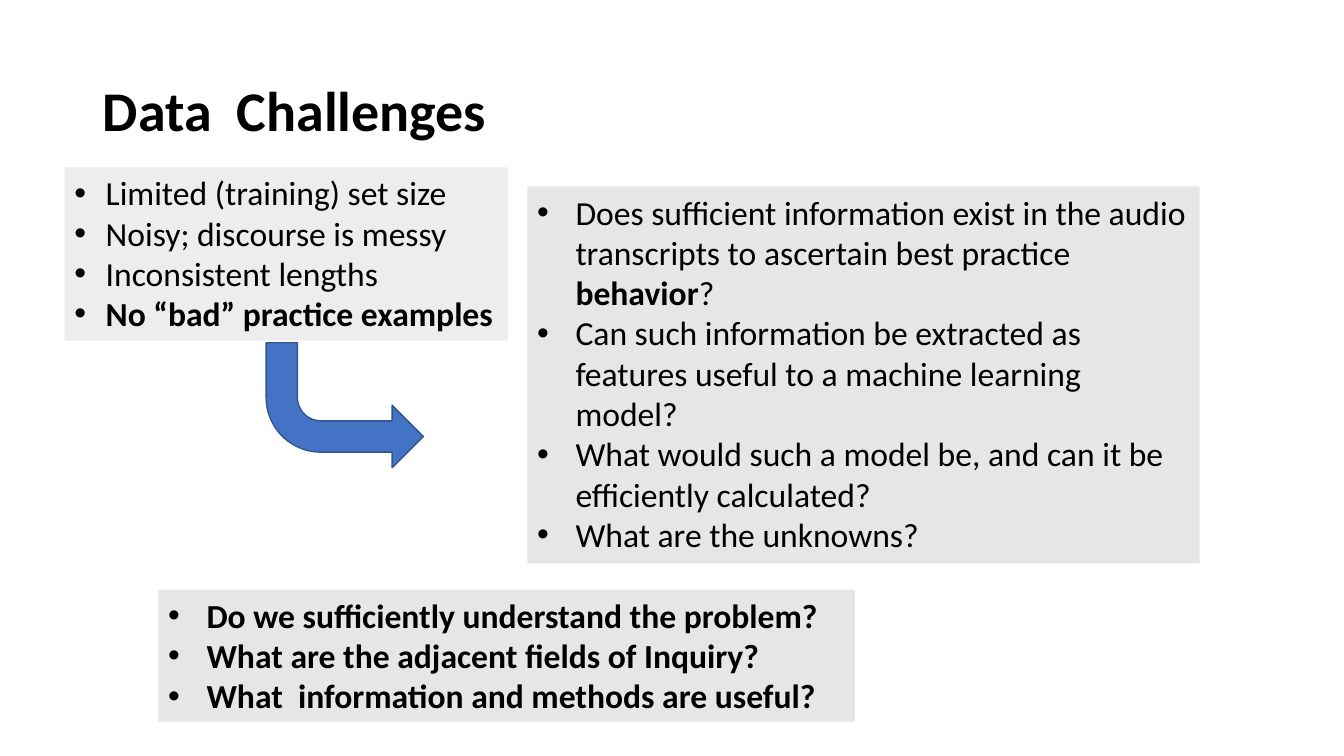
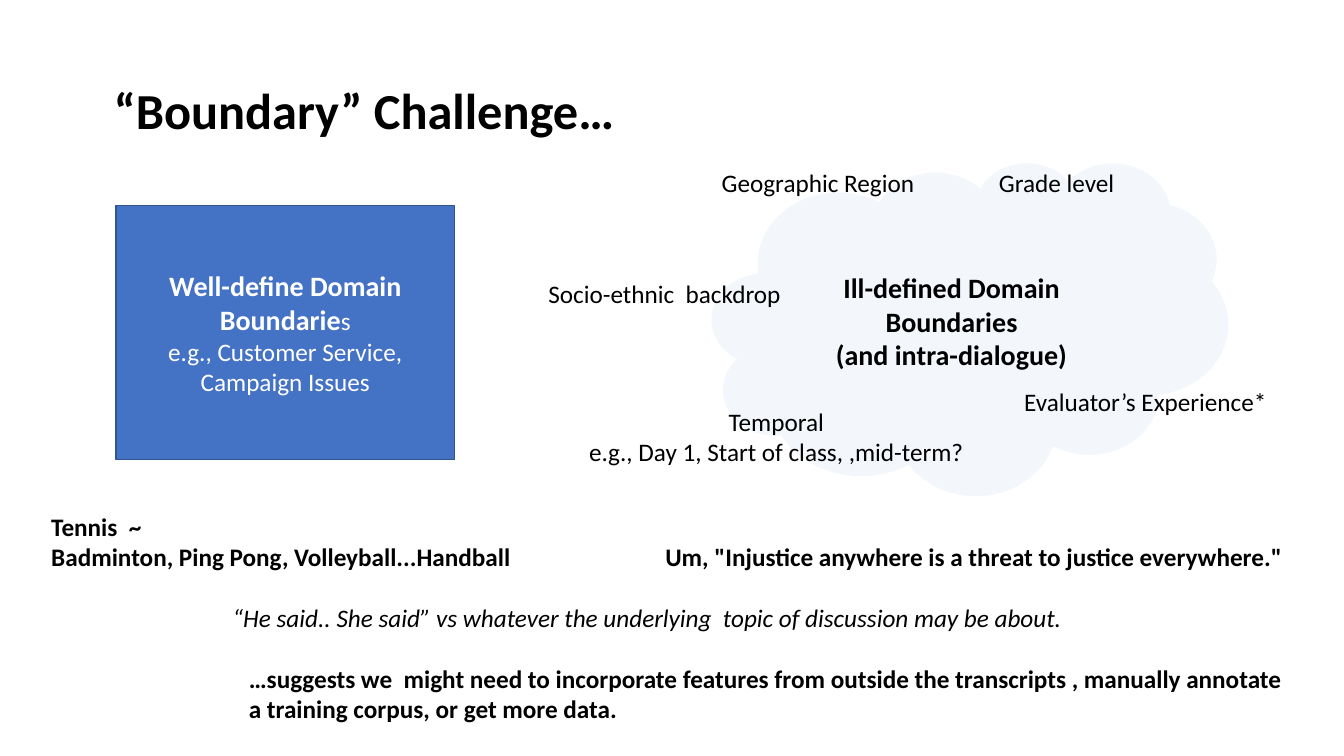
"""Build two slides on data and boundary challenges."""
from lxml.etree import SubElement
from pptx import Presentation
from pptx.dml.color import RGBColor
from pptx.enum.shapes import MSO_SHAPE as SHAPE
from pptx.enum.text import MSO_ANCHOR as ANCHOR, MSO_AUTO_SIZE as FIT, PP_ALIGN as ALIGN
from pptx.oxml.ns import qn
from pptx.util import Inches, Pt

FONT = "Calibri"
BLACK, WHITE = "000000", "FFFFFF"
BLUE, DARK_BLUE, PALE_BLUE = "4472C4", "325491", "DAE3F3"
LIGHT_GRAY, GRAY = "EDEDED", "E7E6E6"
PANEL_SIZE, DOMAIN_SIZE, NOTE_SIZE = 24, 20, 18
TITLE_AREA = (0.92, 0.4, 11.5, 1.45)
BOLD, ITALIC, PLAIN = {"bold": True}, {"italic": True}, {}

DATA_PANELS = [
    {"area": (0.64, 1.66, 4.4, 1.72), "fill": LIGHT_GRAY, "indent": 0.31, "wrap": False,
     "lines": ["Limited (training) set size", "Noisy; discourse is messy",
               "Inconsistent lengths", [("No “bad” practice examples", BOLD)]]},
    {"area": (5.23, 1.85, 6.67, 3.74), "fill": GRAY, "indent": 0.38, "wrap": True,
     "lines": [[("Does sufficient information exist in the audio transcripts "
                 "to ascertain best practice ", PLAIN), ("behavior", BOLD), ("?", PLAIN)],
               "Can such information be extracted as features useful to a "
               "machine learning model?",
               "What would such a model be, and can it be efficiently calculated?",
               "What are the unknowns?"]},
    {"area": (1.57, 5.85, 6.91, 1.31), "fill": GRAY, "indent": 0.38, "wrap": False,
     "lines": [[(question, BOLD)] for question in (
         "Do we sufficiently understand the problem?",
         "What are the adjacent fields of Inquiry?",
         "What  information and methods are useful?")]},
]
ARROW_AREA = (2.64, 3.4, 1.56, 1.24)

WELL_DEFINED_AREA = (1.15, 2.04, 3.36, 2.52)
WELL_DEFINED = [
    [("Well-define Domain Boundarie", {"bold": True, "size": DOMAIN_SIZE}), ("s", PLAIN)],
    "e.g., Customer Service,", "Campaign Issues"]
CLOUD_AREA = (7.06, 1.61, 5.12, 3.3)
ILL_DEFINED = [[("Ill-defined Domain Boundaries", BOLD)], [("(and intra-dialogue)", BOLD)]]
CLOUD_OPACITY = 31

BOUNDARY_NOTES = [
    ((2.37, 6.53, 10.53, 0.71), BOLD, ALIGN.LEFT,
     ["…suggests we  might need to incorporate features from outside the "
      "transcripts , manually annotate", "a training corpus, or get more data."]),
    ((0.41, 5.02, 4.79, 0.71), BOLD, ALIGN.LEFT,
     ["Tennis  ~", "Badminton, Ping Pong, Volleyball...Handball"]),
    ((6.5, 5.32, 6.37, 0.4), BOLD, ALIGN.LEFT,
     ['Um, "Injustice anywhere is a threat to justice everywhere."']),
    ((7.06, 1.61, 2.13, 0.4), PLAIN, ALIGN.LEFT, ["Geographic Region"]),
    ((5.34, 2.71, 2.53, 0.4), PLAIN, ALIGN.LEFT, ["Socio-ethnic  backdrop"]),
    ((9.81, 1.61, 1.36, 0.4), PLAIN, ALIGN.LEFT, ["Grade level"]),
    ((5.72, 3.98, 3.96, 0.71), PLAIN, ALIGN.CENTER,
     ["Temporal", "e.g., Day 1, Start of class, ,mid-term?"]),
    ((10.06, 3.78, 2.63, 0.4), PLAIN, ALIGN.LEFT, ["Evaluator’s Experience*"]),
    ((2.21, 5.93, 8.58, 0.4), ITALIC, ALIGN.LEFT,
     ["“He said.. She said” vs whatever the underlying  topic of discussion may be about."]),
]


def color(hex_code):
    """Turn a hex string into a colour."""
    return RGBColor.from_string(hex_code)


def box(area):
    """Turn left, top, width and height into lengths."""
    return [Inches(length) for length in area]


def paint(shape, fill, line=None):
    """Give a shape a solid fill and an optional outline."""
    shape.fill.solid()
    shape.fill.fore_color.rgb = color(fill)
    if line:
        shape.line.color.rgb = color(line)
        shape.line.width = Pt(1)
    else:
        shape.line.fill.background()


def add_bullet(paragraph, indent):
    """Put a hanging bullet on a paragraph."""
    properties = paragraph._p.get_or_add_pPr()
    properties.set("marL", str(Inches(indent)))
    properties.set("indent", str(-Inches(indent)))
    SubElement(properties, qn("a:buFont")).set("typeface", "Arial")
    SubElement(properties, qn("a:buChar")).set("char", "•")


def write(frame, lines, size, ink=BLACK, align=ALIGN.LEFT, indent=None):
    """Write lines, each a string or a list of styled parts, into a frame."""
    for number, line in enumerate(lines):
        paragraph = frame.add_paragraph() if number else frame.paragraphs[0]
        paragraph.alignment = align
        if indent:
            add_bullet(paragraph, indent)
        for text, style in [(line, PLAIN)] if isinstance(line, str) else line:
            run = paragraph.add_run()
            run.text = text
            run.font.name = FONT
            run.font.size = Pt(style.get("size", size))
            run.font.bold = style.get("bold", False)
            run.font.italic = style.get("italic", False)
            run.font.color.rgb = color(ink)


def add_title_slide(deck, title, size, inset):
    """Add a slide with the shared title style."""
    slide = deck.slides.add_slide(deck.slide_layouts[5])
    heading = slide.shapes.title
    heading.left, heading.top, heading.width, heading.height = box(TITLE_AREA)
    frame = heading.text_frame
    frame.vertical_anchor = ANCHOR.MIDDLE
    frame.margin_left = Inches(inset)
    write(frame, [[(title, BOLD)]], size)
    frame.paragraphs[0].line_spacing = 0.9
    return slide


def add_text(slide, area, lines, size, wrap=False, **style):
    """Add a text box that grows with its text."""
    text_box = slide.shapes.add_textbox(*box(area))
    text_box.text_frame.word_wrap = wrap
    text_box.text_frame.auto_size = FIT.SHAPE_TO_FIT_TEXT
    write(text_box.text_frame, lines, size, **style)
    return text_box


def add_figure(slide, preset, area, fill, line=None):
    """Add a painted preset shape without a shadow."""
    figure = slide.shapes.add_shape(preset, *box(area))
    figure.shadow.inherit = False
    paint(figure, fill, line)
    figure.text_frame.word_wrap = True
    figure.text_frame.vertical_anchor = ANCHOR.MIDDLE
    return figure


def build_data_slide(deck):
    """Build the slide on data challenges."""
    slide = add_title_slide(deck, "Data  Challenges", 40, 0.1)
    for panel in DATA_PANELS:
        text_box = add_text(slide, panel["area"], panel["lines"], PANEL_SIZE,
                            wrap=panel["wrap"], indent=panel["indent"])
        paint(text_box, panel["fill"])
    arrow = add_figure(slide, SHAPE.BENT_ARROW, ARROW_AREA, BLUE, DARK_BLUE)
    arrow.rotation = 180
    arrow._element.spPr.xfrm.set("flipH", "1")


def build_boundary_slide(deck):
    """Build the slide on domain boundaries."""
    slide = add_title_slide(deck, "“Boundary” Challenge…", 36, 0.21)
    domain = add_figure(slide, SHAPE.RECTANGLE, WELL_DEFINED_AREA, BLUE, DARK_BLUE)
    write(domain.text_frame, WELL_DEFINED, NOTE_SIZE, ink=WHITE, align=ALIGN.CENTER)
    cloud = add_figure(slide, SHAPE.CLOUD, CLOUD_AREA, PALE_BLUE)
    tint = cloud._element.spPr.find(qn("a:solidFill"))[0]
    SubElement(tint, qn("a:alpha")).set("val", str(CLOUD_OPACITY * 1000))
    write(cloud.text_frame, ILL_DEFINED, DOMAIN_SIZE, align=ALIGN.CENTER)
    for area, style, align, lines in BOUNDARY_NOTES:
        add_text(slide, area, [[(line, style)] for line in lines], NOTE_SIZE, align=align)


def main():
    """Build and save the presentation."""
    deck = Presentation()
    deck.slide_width, deck.slide_height = Inches(13.33), Inches(7.5)
    build_data_slide(deck)
    build_boundary_slide(deck)
    deck.save("out.pptx")


if __name__ == "__main__":
    main()
